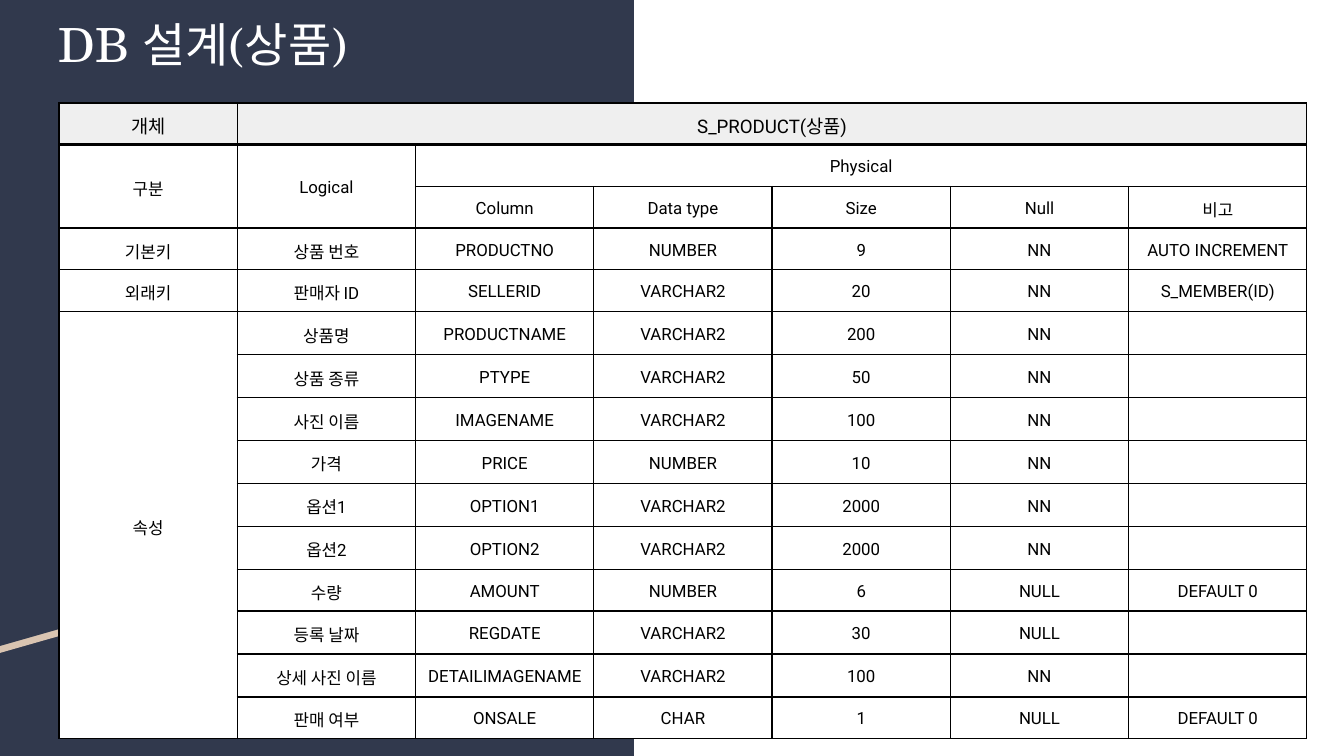
import pptx
import pptx.dml.color
import pptx.enum.shapes
import pptx.enum.text
import pptx.oxml.ns
import pptx.util
from lxml import etree

EMU_PER_PX = 914400 / 134.4
NAVY = pptx.dml.color.RGBColor(0x31, 0x39, 0x4D)
SAND = pptx.dml.color.RGBColor(0xD9, 0xC4, 0xB1)
PALE_GRAY = pptx.dml.color.RGBColor(0xEF, 0xEF, 0xEF)
WHITE = pptx.dml.color.RGBColor(0xFF, 0xFF, 0xFF)
BLACK = pptx.dml.color.RGBColor(0, 0, 0)
CENTER = pptx.enum.text.PP_ALIGN.CENTER
MIDDLE = pptx.enum.text.MSO_ANCHOR.MIDDLE
MARGINS = ("margin_left", "margin_top", "margin_right", "margin_bottom")
THIN, THICK = 9525, 25019
BLANK_ROW_HEIGHT = 43

SCHEMA = [
    ("개체", "S_PRODUCT(상품)", "", "", "", "", ""),
    ("구분", "Logical", "Physical", "", "", "", ""),
    ("", "", "Column", "Data type", "Size", "Null", "비고"),
    ("기본키", "상품 번호", "PRODUCTNO", "NUMBER", "9", "NN", "AUTO INCREMENT"),
    ("외래키", "판매자 ID", "SELLERID", "VARCHAR2", "20", "NN", "S_MEMBER(ID)"),
    ("속성", "상품명", "PRODUCTNAME", "VARCHAR2", "200", "NN", ""),
    ("", "상품 종류", "PTYPE", "VARCHAR2", "50", "NN", ""),
    ("", "사진 이름", "IMAGENAME", "VARCHAR2", "100", "NN", ""),
    ("", "가격", "PRICE", "NUMBER", "10", "NN", ""),
    ("", "옵션1", "OPTION1", "VARCHAR2", "2000", "NN", ""),
    ("", "옵션2", "OPTION2", "VARCHAR2", "2000", "NN", ""),
    ("", "수량", "AMOUNT", "NUMBER", "6", "NULL", "DEFAULT 0"),
    ("", "등록 날짜", "REGDATE", "VARCHAR2", "30", "NULL", ""),
    ("", "상세 사진 이름", "DETAILIMAGENAME", "VARCHAR2", "100", "NN", ""),
    ("", "판매 여부", "ONSALE", "CHAR", "1", "NULL", "DEFAULT 0"),
]
MERGES = [((0, 1), (0, 6)), ((1, 0), (2, 0)), ((1, 1), (2, 1)),
          ((1, 2), (1, 6)), ((5, 0), (14, 0))]


def px(length):
    """Turn pixels into EMU."""
    return pptx.util.Emu(round(length * EMU_PER_PX))


def apply_format(target, values):
    """Set every attribute in values on target."""
    for attribute, value in values.items():
        setattr(target, attribute, value)


def write(paragraph, text, size, font, color, spacing):
    """Fill a centred paragraph, keeping the size even when it is empty."""
    apply_format(paragraph, {"alignment": CENTER, "line_spacing": spacing})
    if text:
        run = paragraph.add_run()
        run.text = text
        apply_format(run.font, {"size": pptx.util.Pt(size), "name": font})
        run.font.color.rgb = color
    else:
        etree.SubElement(paragraph._p, pptx.oxml.ns.qn("a:endParaRPr"), sz=str(size * 100))


def paint(shape, color):
    """Give a shape a plain fill without outline or shadow."""
    shape.shadow.inherit = False
    shape.fill.solid()
    shape.fill.fore_color.rgb = color
    shape.line.fill.background()


def add_backdrop(slide, left, top, width, height):
    """Draw the navy panel with the slanted sand stripe."""
    panel = slide.shapes.add_shape(
        pptx.enum.shapes.MSO_SHAPE.RECTANGLE, px(left), px(top), px(width), px(height))
    paint(panel, NAVY)
    for drop, color in ((7, SAND), (0, NAVY)):
        outline = slide.shapes.build_freeform(0, drop, scale=EMU_PER_PX)
        outline.add_line_segments(
            [(width, drop), (width, 465 + drop), (0, 646 + drop)], close=True)
        paint(outline.convert_to_shape(px(left), px(top)), color)


def add_title(slide, left, top, width, height):
    """Write the slide title centred in its box."""
    title = slide.shapes.add_textbox(px(left), px(top), px(width), px(height))
    frame = title.text_frame
    apply_format(frame, {"word_wrap": True, "vertical_anchor": MIDDLE,
                         **dict.fromkeys(MARGINS, px(13))})
    write(frame.paragraphs[0], "DB 설계(상품)", 25.2, "TeX Gyre Schola", WHITE, 1.0)


def add_border(cell, side, width):
    """Draw one black border of a cell."""
    qn = pptx.oxml.ns.qn
    line = etree.SubElement(cell._tc.get_or_add_tcPr(), qn("a:ln" + side), w=str(width))
    fill = etree.SubElement(line, qn("a:solidFill"))
    etree.SubElement(fill, qn("a:srgbClr"), val=str(BLACK))


def add_schema_table(slide, left, top, width, height):
    """Lay out the column definitions, with slightly taller rows where the remark is blank."""
    row_count, column_count = len(SCHEMA), len(SCHEMA[0])
    table = slide.shapes.add_table(
        row_count, column_count, px(left), px(top), px(width), px(height)).table
    apply_format(table, {"first_row": False, "horz_banding": False})
    for column in table.columns:
        column.width = px(width / column_count)
    blank_rows = [index > 2 and not row[-1] for index, row in enumerate(SCHEMA)]
    blank_count = sum(blank_rows)
    full_height = (height - blank_count * BLANK_ROW_HEIGHT) / (row_count - blank_count)
    for row, blank in zip(table.rows, blank_rows):
        row.height = px(BLANK_ROW_HEIGHT if blank else full_height)
    for start, end in MERGES:
        table.cell(*start).merge(table.cell(*end))
    for row_index, texts in enumerate(SCHEMA):
        header = row_index == 0
        borders = {"L": THIN, "R": THIN, "T": THICK if row_index == 1 else THIN,
                   "B": THICK if header else THIN}
        for column_index, text in enumerate(texts):
            cell = table.cell(row_index, column_index)
            apply_format(cell, {"vertical_anchor": MIDDLE, **dict.fromkeys(MARGINS, px(3))})
            for side, weight in borders.items():
                add_border(cell, side, weight)
            cell.fill.solid()
            cell.fill.fore_color.rgb = PALE_GRAY if header else WHITE
            write(cell.text_frame.paragraphs[0], text, 10 if header else 9,
                  "Roboto", BLACK, 1.15)


def main():
    """Build the product table design slide."""
    deck = pptx.Presentation()
    apply_format(deck, {"slide_width": px(1344), "slide_height": px(756)})
    slide = deck.slides.add_slide(deck.slide_layouts[6])
    add_backdrop(slide, 0, 0, 634, 756)
    add_title(slide, 0, 0, 406, 87)
    add_schema_table(slide, 59, 103, 1248, 636)
    deck.save("out.pptx")


if __name__ == "__main__":
    main()
